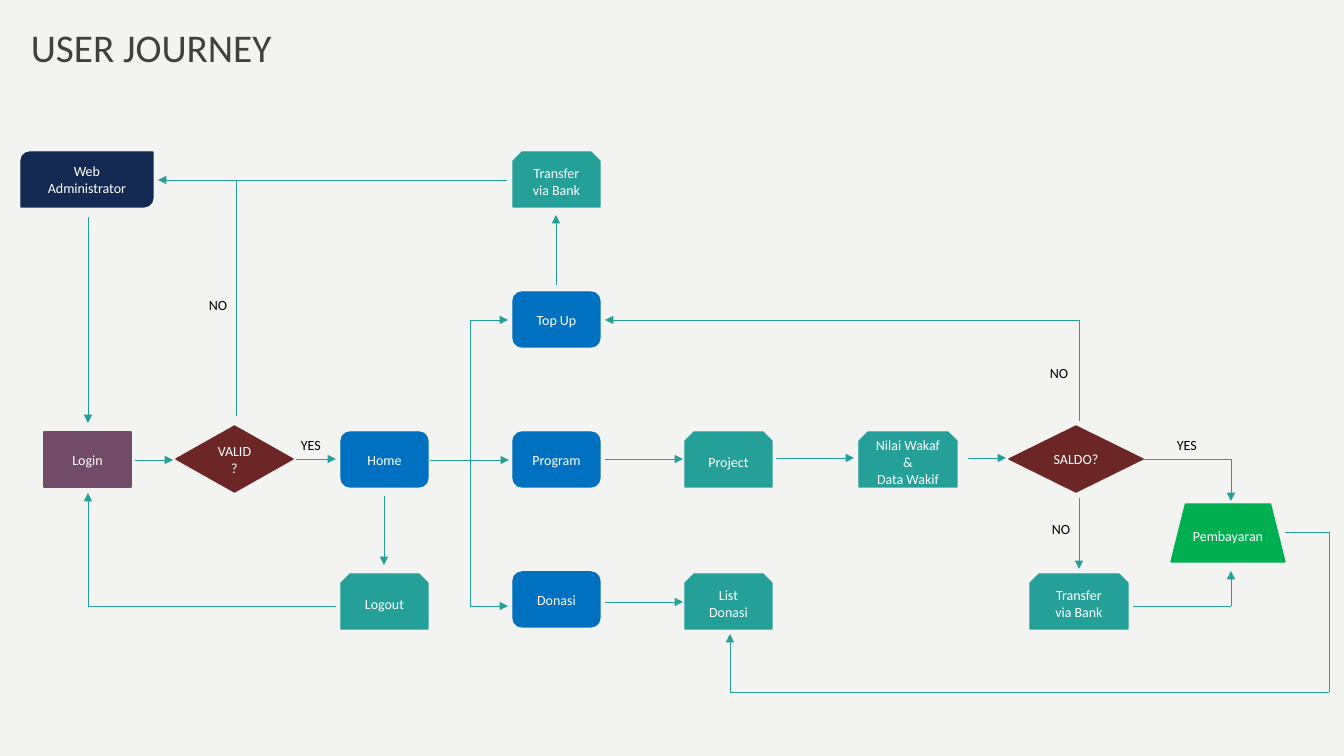
from itertools import pairwise

from pptx import Presentation
from pptx.dml.color import RGBColor
from pptx.enum.shapes import MSO_CONNECTOR, MSO_SHAPE
from pptx.enum.text import MSO_ANCHOR, MSO_AUTO_SIZE, PP_ALIGN
from pptx.oxml.ns import qn
from pptx.util import Inches, Pt
from lxml.etree import SubElement

WIDE, HIGH = 1344, 756
SCALE = Inches(7.5) / HIGH

PAPER = RGBColor(0xF3, 0xF3, 0xF2)
WHITE = RGBColor(0xFF, 0xFF, 0xFF)
BLACK = RGBColor(0x00, 0x00, 0x00)
GREY = RGBColor(0x40, 0x40, 0x40)
NAVY = RGBColor(0x14, 0x29, 0x52)
PLUM = RGBColor(0x71, 0x4B, 0x68)
MAROON = RGBColor(0x6C, 0x26, 0x26)
BLUE = RGBColor(0x00, 0x70, 0xC0)
TEAL = RGBColor(0x25, 0xA0, 0x99)
GREEN = RGBColor(0x00, 0xB0, 0x50)
LINE = RGBColor(0x24, 0xA0, 0x99)

# Form, fill, width and height of each kind of step
KINDS = {
    "admin": (MSO_SHAPE.ROUND_2_DIAG_RECTANGLE, NAVY, 132, 55),
    "login": (MSO_SHAPE.RECTANGLE, PLUM, 87, 55),
    "page": (MSO_SHAPE.ROUNDED_RECTANGLE, BLUE, 87, 55),
    "task": (MSO_SHAPE.SNIP_2_SAME_RECTANGLE, TEAL, 87, 55),
    "form": (MSO_SHAPE.SNIP_2_SAME_RECTANGLE, TEAL, 98, 55),
    "check": (MSO_SHAPE.DIAMOND, MAROON, 117, 66),
    "funds": (MSO_SHAPE.DIAMOND, MAROON, 134, 66),
    "pay": (MSO_SHAPE.TRAPEZOID, GREEN, 114, 58),
}

STEPS = [
    ("admin", 21, 152, "Web\nAdministrator"),
    ("task", 513, 152, "Transfer\nvia Bank"),
    ("page", 513, 292, "Top Up"),
    ("login", 44, 432, "Login"),
    ("check", 176, 426, "VALID?"),
    ("page", 341, 432, "Home"),
    ("page", 513, 432, "Program"),
    ("task", 685, 432, "Project"),
    ("form", 859, 432, "Nilai Wakaf\n&\nData Wakif"),
    ("funds", 1009, 426, "SALDO?"),
    ("pay", 1171, 504, "Pembayaran"),
    ("task", 341, 574, "Logout"),
    ("page", 513, 572, "Donasi"),
    ("task", 685, 574, "List\nDonasi"),
    ("form", 1030, 574, "Transfer\nvia Bank"),
]

# Corner points of each arrow, from tail to head
ROUTES = [
    [(88, 217), (88, 423)],
    [(135, 460), (173, 460)],
    [(296, 459), (336, 459)],
    [(507, 180), (158, 180)],
    [(430, 460), (509, 460)],
    [(605, 459), (683, 459)],
    [(776, 458), (854, 458)],
    [(968, 458), (1006, 458)],
    [(605, 602), (683, 602)],
    [(384, 496), (384, 565)],
    [(336, 606), (88, 606), (88, 493)],
    [(556, 285), (556, 215)],
    [(1079, 421), (1079, 320), (605, 320)],
    [(1079, 498), (1079, 569)],
    [(1133, 606), (1231, 606), (1231, 571)],
    [(470, 460), (470, 320), (508, 320)],
    [(470, 460), (470, 606), (508, 606)],
    [(1285, 532), (1329, 532), (1329, 692), (730, 692), (730, 634)],
]

LABELS = [
    ("YES", 291, 432, 41),
    ("YES", 1167, 432, 41),
    ("NO", 1040, 360, 39),
    ("NO", 1042, 516, 39),
    ("NO", 199, 292, 39),
]


def emu(*sizes):
    return [round(size * SCALE) for size in sizes]


class Chart:
    """Draws the flow on one slide in a single style."""

    font = "Calibri"
    size = 10

    def __init__(self, slide):
        self.slide = slide
        fill = slide.background.fill
        fill.solid()
        fill.fore_color.rgb = PAPER

    def add_text(self, frame, text, size, color, align):
        for i, words in enumerate(text.split("\n")):
            para = frame.add_paragraph() if i else frame.paragraphs[0]
            para.alignment = align
            run = para.add_run()
            run.text = words
            run.font.name = self.font
            run.font.size = Pt(size)
            run.font.color.rgb = color

    def step(self, kind, left, top, text):
        form, color, width, height = KINDS[kind]
        shape = self.slide.shapes.add_shape(form, *emu(left, top, width, height))
        shape.shadow.inherit = False
        shape.fill.solid()
        shape.fill.fore_color.rgb = color
        shape.line.color.rgb = color
        shape.line.width = Pt(1)
        frame = shape.text_frame
        frame.word_wrap = True
        frame.vertical_anchor = MSO_ANCHOR.MIDDLE
        self.add_text(frame, text, self.size, WHITE, PP_ALIGN.CENTER)
        return shape

    def link(self, start, end, head=False):
        link = self.slide.shapes.add_connector(
            MSO_CONNECTOR.STRAIGHT, *emu(*start, *end))
        link.line.color.rgb = LINE
        link.line.width = Pt(0.5)
        props = link.element.spPr
        if head:
            SubElement(props.find(qn("a:ln")), qn("a:tailEnd"), type="triangle")
        SubElement(props, qn("a:effectLst"))
        return link

    def route(self, points):
        """Join the points by straight lines, with a head on the last; return the first."""
        pairs = list(pairwise(points))
        links = [self.link(a, b, b == points[-1]) for a, b in pairs]
        return links[0]

    def label(self, text, left, top, width, height=27, size=size, color=BLACK):
        box = self.slide.shapes.add_textbox(*emu(left, top, width, height))
        frame = box.text_frame
        frame.word_wrap = False
        frame.auto_size = MSO_AUTO_SIZE.SHAPE_TO_FIT_TEXT
        self.add_text(frame, text, size, color, PP_ALIGN.LEFT)


def main():
    deck = Presentation()
    deck.slide_width, deck.slide_height = emu(WIDE, HIGH)
    chart = Chart(deck.slides.add_slide(deck.slide_layouts[6]))

    chart.label("USER JOURNEY", 21, 18, 264, 57, 28, GREY)
    steps = {step[0]: chart.step(*step) for step in STEPS}
    for points in ROUTES:
        chart.route(points)
    chart.link((236, 416), (236, 180))
    paid = chart.route([(1143, 459), (1231, 459), (1231, 501)])
    paid.begin_connect(steps["funds"], 3)
    for label in LABELS:
        chart.label(*label)

    deck.save("out.pptx")


if __name__ == "__main__":
    main()
